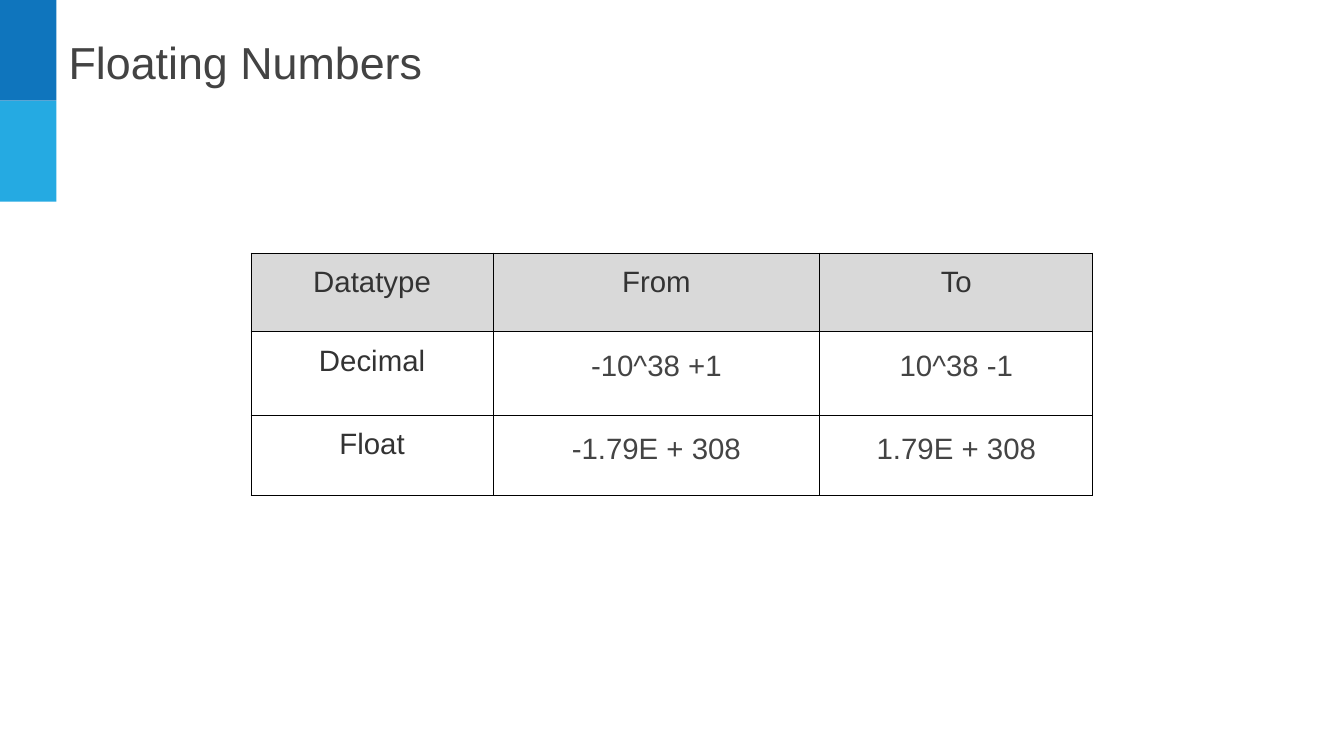
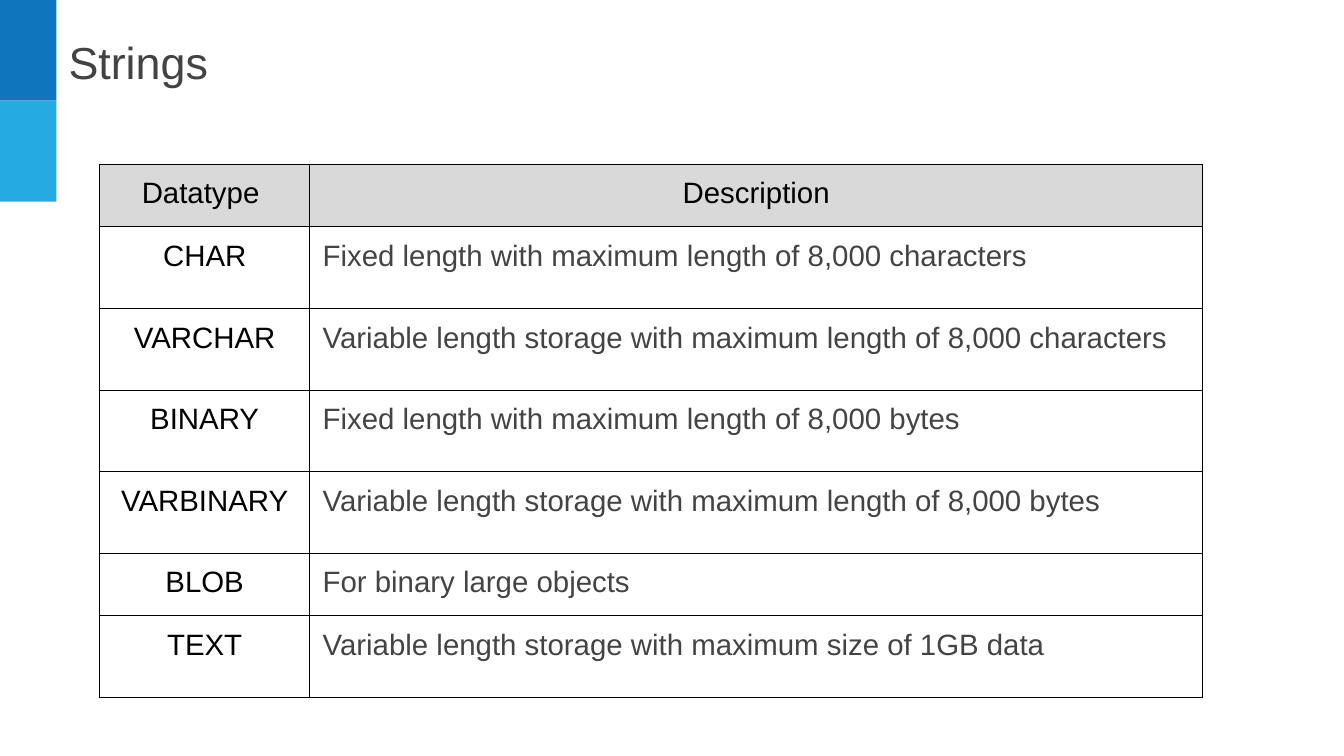
from lxml import etree
from pptx import Presentation
from pptx.dml.color import RGBColor
from pptx.enum import shapes, text
from pptx.oxml import ns
from pptx.util import Inches, Pt

FONT = "Arial"
DARK_BLUE = RGBColor(0x0F, 0x75, 0xBD)
LIGHT_BLUE = RGBColor(0x25, 0xAA, 0xE2)
TITLE_GREY = RGBColor(0x43, 0x43, 0x43)
LABEL_GREY = RGBColor(0x33, 0x33, 0x33)
BODY_GREY = RGBColor(0x44, 0x44, 0x44)
HEADER_FILL = RGBColor(0xD9, 0xD9, 0xD9)
BLACK = RGBColor(0, 0, 0)
WHITE = RGBColor(0xFF, 0xFF, 0xFF)
INSET = Inches(0.13)
BORDER = Pt(0.75)
CENTER, LEFT = text.PP_ALIGN.CENTER, text.PP_ALIGN.LEFT

PAGES = [
    {
        "title": "Floating Numbers",
        "at": (2.49, 2.51),
        "columns": [2.4, 3.24, 2.71],
        "heights": [0.78, 0.83, 0.8],
        "label_color": LABEL_GREY,
        "body_align": CENTER,
        "body_spacing": 1.15,
        "rows": [
            ["Datatype", "From", "To"],
            ["Decimal", "-10^38 +1", "10^38 -1"],
            ["Float", "-1.79E + 308", "1.79E + 308"],
        ],
    },
    {
        "title": "Strings",
        "at": (0.99, 1.63),
        "columns": [2.08, 8.86],
        "heights": [0.62, 0.81, 0.81, 0.81, 0.81, 0.62, 0.81],
        "label_color": BLACK,
        "body_align": LEFT,
        "body_spacing": 1.0,
        "rows": [
            ["Datatype ", "Description"],
            ["CHAR", "Fixed length with maximum length of 8,000 characters"],
            ["VARCHAR", "Variable length storage with maximum length of 8,000 characters"],
            ["BINARY", "Fixed length with maximum length of 8,000 bytes"],
            ["VARBINARY", "Variable length storage with maximum length of 8,000 bytes"],
            ["BLOB", "For binary large objects"],
            ["TEXT", "Variable length storage with maximum size of 1GB data"],
        ],
    },
]


def set_insets(target):
    target.margin_left = target.margin_right = INSET
    target.margin_top = target.margin_bottom = INSET


def add_borders(cell):
    """Outline all four sides; call before setting the cell's fill."""
    properties = cell._tc.get_or_add_tcPr()
    for side in ("lnL", "lnR", "lnT", "lnB"):
        line = etree.SubElement(properties, ns.qn(f"a:{side}"), w=str(BORDER))
        fill = etree.SubElement(line, ns.qn("a:solidFill"))
        etree.SubElement(fill, ns.qn("a:srgbClr"), val=str(BLACK))


deck = Presentation()
deck.slide_width, deck.slide_height = Inches(13.33), Inches(7.5)
title_only = deck.slide_layouts[5]

for page in PAGES:
    slide = deck.slides.add_slide(title_only)

    title = slide.shapes.title
    title.left, title.top = Inches(0.55), Inches(0.21)
    title.width, title.height = Inches(10.86), Inches(0.77)
    frame = title.text_frame
    frame.text = page["title"]
    frame.auto_size = text.MSO_AUTO_SIZE.NONE
    frame.vertical_anchor = text.MSO_ANCHOR.TOP
    set_insets(frame)
    para = frame.paragraphs[0]
    para.alignment = LEFT
    para.font.name, para.font.size = FONT, Pt(32)
    para.font.color.rgb = TITLE_GREY

    for index, color in enumerate((DARK_BLUE, LIGHT_BLUE)):
        band = slide.shapes.add_shape(
            shapes.MSO_SHAPE.RECTANGLE, 0, Inches(index), Inches(0.56), Inches(1))
        band.shadow.inherit = False
        band.fill.solid()
        band.fill.fore_color.rgb = color
        band.line.fill.background()

    rows, columns, heights = page["rows"], page["columns"], page["heights"]
    left, top = page["at"]
    table = slide.shapes.add_table(
        len(rows), len(columns), Inches(left), Inches(top),
        Inches(sum(columns)), Inches(sum(heights))).table
    table.first_row = table.horz_banding = False
    for column, width in zip(table.columns, columns):
        column.width = Inches(width)

    for r, (row, height) in enumerate(zip(rows, heights)):
        table.rows[r].height = Inches(height)
        for c, value in enumerate(row):
            is_body = r > 0 and c > 0
            cell = table.cell(r, c)
            cell.text = value
            set_insets(cell)
            add_borders(cell)
            cell.fill.solid()
            cell.fill.fore_color.rgb = WHITE if r else HEADER_FILL
            para = cell.text_frame.paragraphs[0]
            para.alignment = page["body_align"] if is_body else CENTER
            para.line_spacing = page["body_spacing"] if is_body else 1.0
            para.font.name, para.font.size = FONT, Pt(21)
            para.font.color.rgb = BODY_GREY if is_body else page["label_color"]

deck.save("out.pptx")
